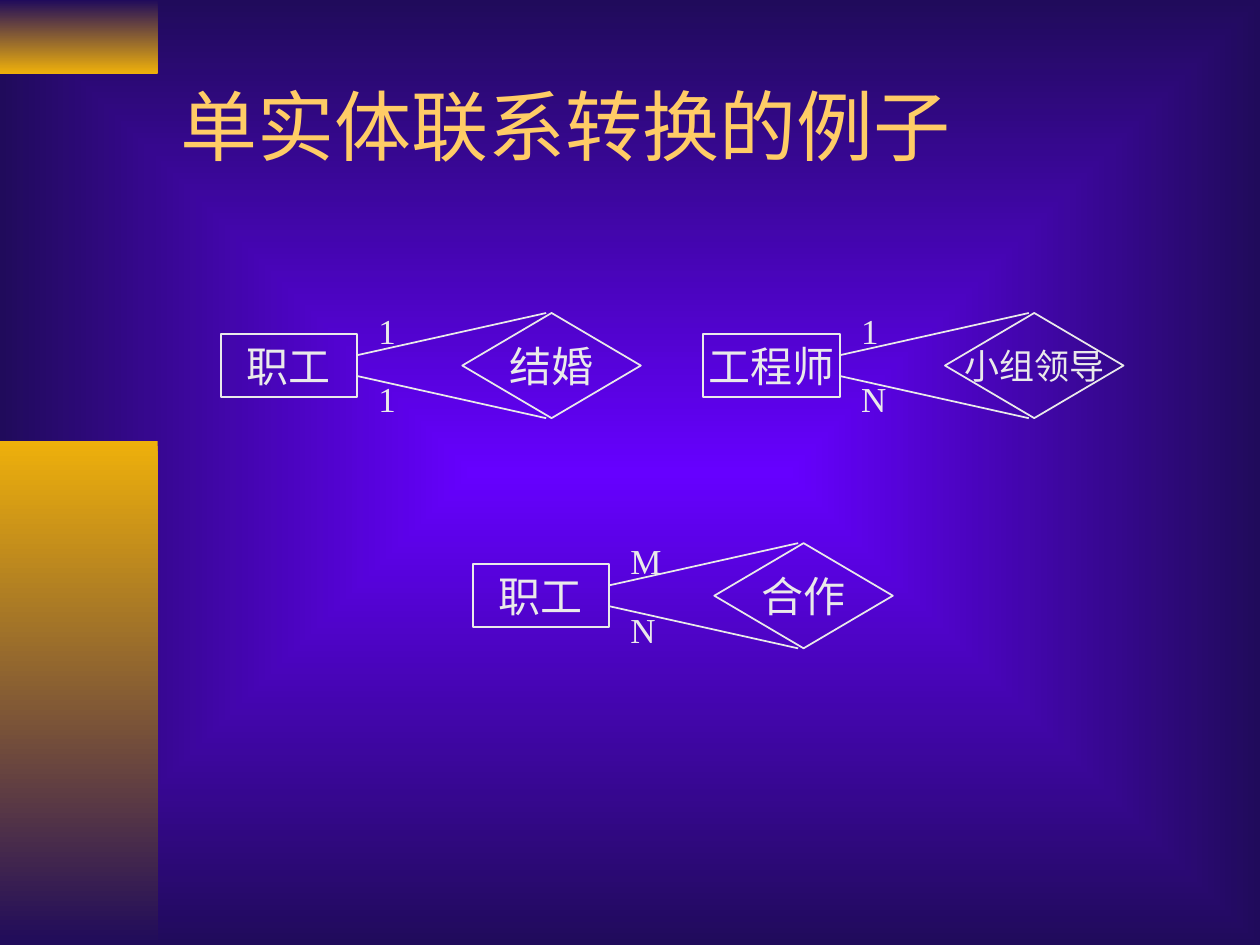
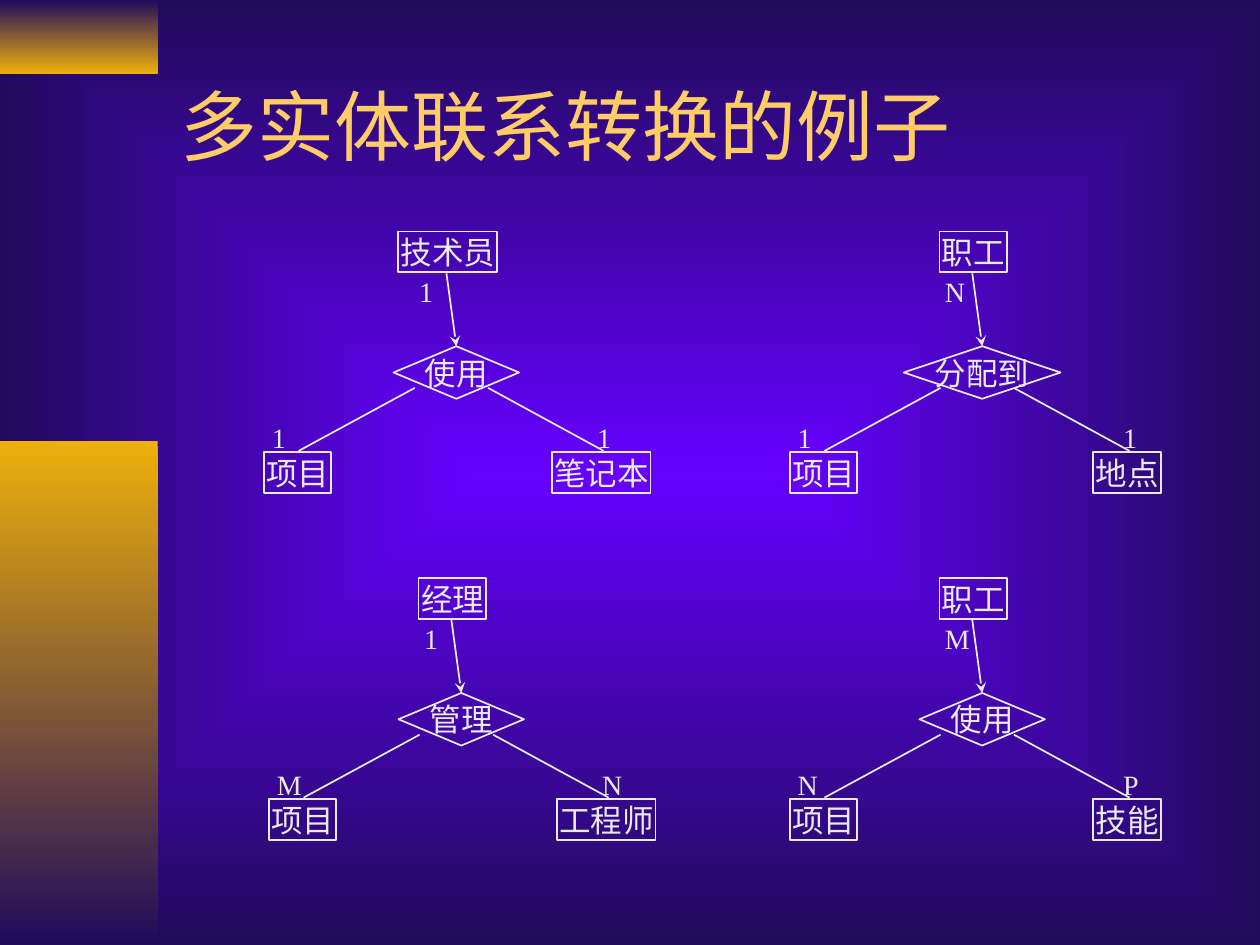
from pptx import Presentation
from pptx import util as u
from pptx.dml import color
from pptx.enum import shapes, text
from pptx.oxml import parse_xml, ns

COLORS = {"glow": "6600FF", "night": "200B5B", "gold": "EEB00B",
          "title": "FFCC66", "ink": "EAEAEA"}
FONT = "Times New Roman"
LABEL_WIDTHS = {"1": 0.36, "P": 0.4, "N": 0.51, "M": 0.62}

RECURSIVE = [
    (4.45, 7.37, "职工", "结婚", 24, "1", "1"),
    (14.18, 7.37, "工程师", "小组领导", 20, "1", "N"),
    (9.53, 12.01, "职工", "合作", 24, "M", "N"),
]
TERNARY = [
    (9.2, 4.67, "使用", ("技术员", "1"), ("项目", "1"), ("笔记本", "1")),
    (19.8, 4.67, "分配到", ("职工", "N"), ("项目", "1"), ("地点", "1")),
    (19.8, 11.66, "使用", ("职工", "M"), ("项目", "N"), ("技能", "P")),
    (9.3, 11.66, "管理", ("经理", "1"), ("项目", "M"), ("工程师", "N")),
]


def rgb(name):
    return color.RGBColor.from_string(COLORS[name])


class Deck:
    """Holds the deck style and the current slide, and draws its elements."""

    def __init__(self):
        self.prs = Presentation()
        self.prs.slide_width, self.prs.slide_height = u.Cm(25.4), u.Cm(19.05)
        self.s = None

    def gradient(self, fill, first, last):
        fill.gradient()
        for stop, name in zip(fill.gradient_stops, (first, last)):
            stop.color.rgb = rgb(name)

    def master(self):
        master = self.prs.slide_master
        self.gradient(master.background.fill, "glow", "night")
        lin = master.element.xpath("./p:cSld/p:bg//a:lin")[0]
        lin.getparent().replace(lin, parse_xml(
            f'<a:path {ns.nsdecls("a")} path="rect"><a:fillToRect '
            'l="50000" t="50000" r="50000" b="50000"/></a:path>'))
        bands = [(0, 1.48, "night", "gold"), (8.89, 10.16, "gold", "night")]
        for i, (y, h, first, last) in enumerate(bands):
            sp = self.shape(shapes.MSO_SHAPE.RECTANGLE, 0, y, 3.18, h)
            self.gradient(sp.fill, first, last)
            sp.fill.gradient_angle = 270
            sp.line.fill.background()
            sp.element.xpath(".//p:cNvPr")[0].set("id", str(100 + i))
            master.shapes.element.insert(2 + i, sp.element)

    def slide(self, title):
        first = self.s is None
        self.s = self.prs.slides.add_slide(self.prs.slide_layouts[5])
        if first:
            self.master()
        sp = self.s.shapes.title
        sp.left, sp.top, sp.width, sp.height = map(u.Cm, (3.39, 0.85, 21.59, 3.34))
        self.put_text(sp, title, 44, "title", text.PP_ALIGN.LEFT, (0.25, 0.13),
                      wrap=True)

    def put_text(self, sp, words, size, ink, align, inset, wrap=False,
                 anchor=text.MSO_ANCHOR.MIDDLE):
        tf = sp.text_frame
        tf.word_wrap = wrap
        tf.auto_size = text.MSO_AUTO_SIZE.NONE
        tf.vertical_anchor = anchor
        tf.margin_left = tf.margin_right = u.Cm(inset[0])
        tf.margin_top = tf.margin_bottom = u.Cm(inset[1])
        p = tf.paragraphs[0]
        p.alignment = align
        r = p.add_run()
        r.text = words
        r.font.name, r.font.size = FONT, u.Pt(size)
        r.font.color.rgb = rgb(ink)

    def shape(self, kind, x, y, w, h):
        sp = self.s.shapes.add_shape(kind, u.Cm(x), u.Cm(y), u.Cm(w), u.Cm(h))
        sp.shadow.inherit = False
        return sp

    def node(self, kind, x, y, w, h, words, size, align=text.PP_ALIGN.CENTER,
             inset=(0.25, 0.13)):
        sp = self.shape(kind, x, y, w, h)
        sp.fill.background()
        sp.line.color.rgb = rgb("ink")
        sp.line.width = u.Pt(1)
        self.put_text(sp, words, size, "ink", align, inset)

    def entity(self, x, y, w, h, words, size, **style):
        self.node(shapes.MSO_SHAPE.RECTANGLE, x, y, w, h, words, size, **style)

    def relation(self, x, y, w, h, words, size):
        self.node(shapes.MSO_SHAPE.FLOWCHART_DECISION, x, y, w, h, words, size)

    def label(self, x, y, words, size, inset=(0, 0)):
        sp = self.s.shapes.add_textbox(
            u.Cm(x), u.Cm(y), u.Cm(LABEL_WIDTHS[words]), u.Cm(size * 0.042))
        self.put_text(sp, words, size, "ink", text.PP_ALIGN.LEFT, inset,
                      anchor=text.MSO_ANCHOR.TOP)

    def line(self, x1, y1, x2, y2, arrow=False):
        cxn = self.s.shapes.add_connector(
            shapes.MSO_CONNECTOR.STRAIGHT, u.Cm(x1), u.Cm(y1), u.Cm(x2), u.Cm(y2))
        cxn.line.color.rgb = rgb("ink")
        cxn.line.width = u.Pt(1)
        if arrow:
            cxn.element.xpath("./p:spPr/a:ln")[0].append(parse_xml(
                f'<a:tailEnd {ns.nsdecls("a")} type="stealth"/>'))
        cxn.element.spPr.append(parse_xml(f'<a:effectLst {ns.nsdecls("a")}/>'))

    def recursive(self, x, mid, entity, relation, size, upper, lower):
        self.entity(x, mid - 0.64, 2.75, 1.27, entity, 24)
        self.relation(x + 4.87, mid - 1.06, 3.6, 2.12, relation, size)
        for side, words, dy in ((-1, upper, -1.14), (1, lower, 0.25)):
            self.line(x + 2.75, mid + side * 0.21, x + 6.56, mid + side * 1.06)
            self.label(x + 3.18, mid + dy, words, 20)

    def ternary(self, cx, top, relation, *ends):
        w = 1.27 + 0.63 * len(relation)
        self.relation(cx - w / 2, top + 2.31, w, 1.06, relation, 18)
        places = [(-0.18, 0, -0.8, 0.84), (-3.2, 4.45, -3.77, 3.78),
                  (2.92, 4.45, 2.79, 3.78)]
        for (entity, count), (ex, ey, lx, ly) in zip(ends, places):
            w = 0.1 + 0.63 * len(entity)
            self.entity(cx + ex - w / 2, top + ey, w, 0.82, entity, 18,
                        align=text.PP_ALIGN.LEFT, inset=(0.05, 0.03))
            self.label(cx + lx, top + ly, count, 16, (0.05, 0.03))
        self.line(cx - 0.2, top + 0.84, cx, top + 2.31, arrow=True)
        self.line(cx - 0.84, top + 3.15, cx - 3.18, top + 4.42)
        self.line(cx + 0.64, top + 3.15, cx + 2.97, top + 4.42)


def main():
    deck = Deck()
    deck.slide("单实体联系转换的例子")
    for diagram in RECURSIVE:
        deck.recursive(*diagram)
    deck.slide("多实体联系转换的例子")
    for diagram in TERNARY:
        deck.ternary(*diagram)
    deck.prs.save("out.pptx")


if __name__ == "__main__":
    main()
